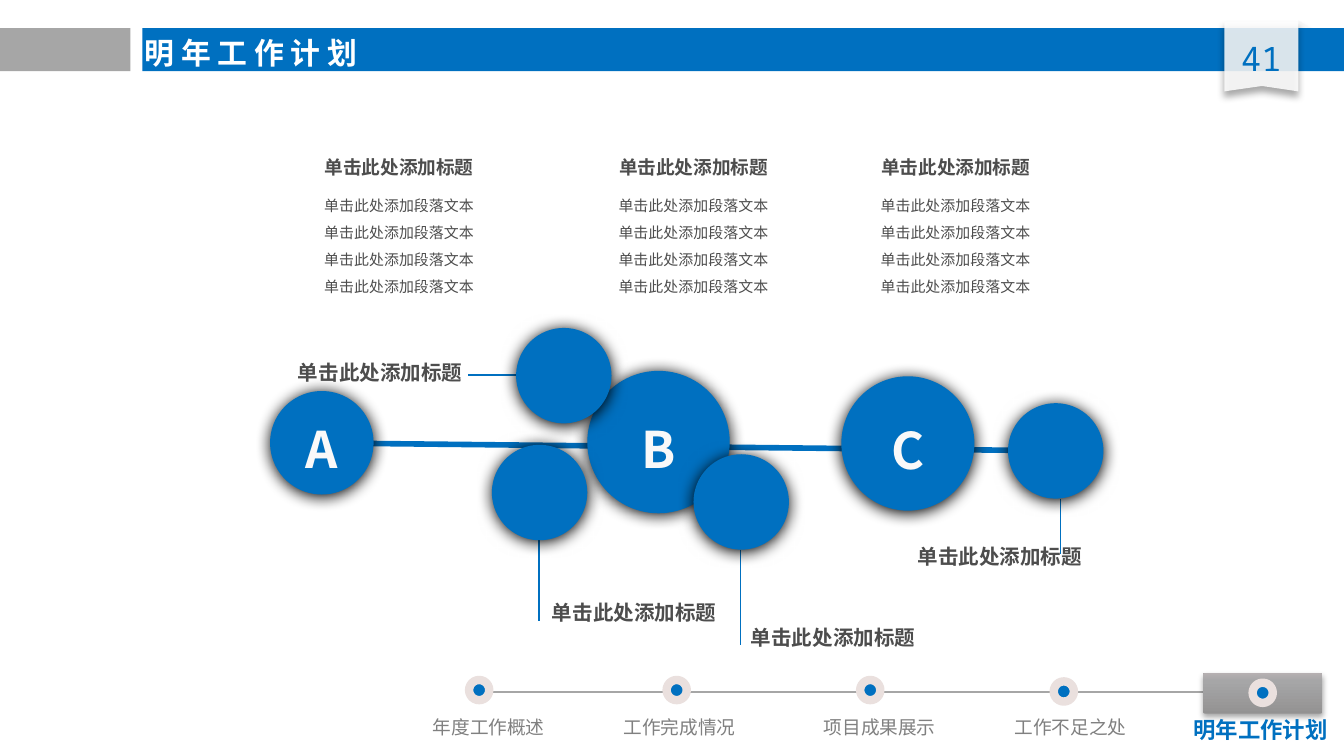
"""Build the work plan slide: header, three text columns, a chain of circles and a progress bar."""
from dataclasses import dataclass
from typing import Optional

from lxml import etree
from pptx import Presentation
from pptx import util as u
from pptx.dml import color
from pptx.enum import shapes, text
from pptx.oxml import ns

COLUMNS = 10
ROWS = COLUMNS * 9 / 16
CELL = u.Inches(1)
COLORS = {
    "blue": "0070C0", "grey": "A6A6A6", "label": "808080", "body": "4D4D4D",
    "white": "FFFFFF", "letter": "F9F9F9", "fold": "F8F8F8", "ring": "EAE0DE",
    "shadow": "000000", "dark": "939292", "middle": "A6A6A7", "light": "B6B0B2",
}
CJK = "Noto Sans CJK SC"
HEADING = "单击此处添加标题"
PARAGRAPH = "单击此处添加段落文本" * 4


@dataclass(frozen=True)
class Box:
    left: float
    top: float
    width: float
    height: float

    def lengths(self) -> list[int]:
        return [cells(value) for value in (self.left, self.top, self.width, self.height)]


@dataclass(frozen=True)
class Style:
    size: float
    color: str
    bold: bool = False
    font: str = CJK
    align: Optional[text.PP_ALIGN] = text.PP_ALIGN.CENTER
    spacing: Optional[float] = None
    inset: float = 0.1
    wrap: bool = True


@dataclass(frozen=True)
class Shadow:
    alpha: int
    blur: float
    distance: float


@dataclass(frozen=True)
class Line:
    start: tuple[float, float]
    end: tuple[float, float]
    color: str = "blue"
    width: float = 0.75


@dataclass(frozen=True)
class Circle:
    box: Box
    letter: str = ""


@dataclass(frozen=True)
class Step:
    name: str
    dot_left: float
    dot_top: float
    label: Box
    current: bool = False


TITLE = Style(16, "white", True, "Calibri", None)
NUMBER = Style(18, "blue", font="Noto Sans Mono", inset=0.07)
COLUMN_HEADING = Style(10, "body", True, spacing=1.2)
COLUMN_BODY = Style(8, "body", spacing=1.5)
CALLOUT = Style(11, "body", True, spacing=1.2, inset=0.08)
LETTER = Style(27, "letter", True, spacing=1.2, inset=0.08)
STEP = Style(10, "label", inset=0.07, wrap=False)
CURRENT_STEP = Style(12, "blue", True, inset=0.07, wrap=False)

RIBBON_SHADOW = Shadow(40, 4, 3)
TAB_SHADOW = Shadow(35, 3.1, 1.8)
CIRCLE_SHADOW = Shadow(100, 8.5, 1)

RIBBON = [(9.11, 0.68), (9.11, 0.16), (9.66, 0.16), (9.66, 0.68), (9.39, 0.64)]
COLUMN_LEFTS = [2.26, 4.45, 6.4]
CALLOUTS = [(4.01, 4.39), (2.12, 2.6), (5.49, 4.57), (6.73, 3.97)]
LINES = [
    Line((3.84, 2.79), (3.48, 2.79)),
    Line((7.89, 3.71), (7.89, 4.12)),
    Line((4.01, 4.02), (4.01, 4.62)),
    Line((5.51, 4.09), (5.51, 4.8)),
    Line((2.77, 3.3), (7.5, 3.35), width=3),
]
CIRCLES = [
    Circle(Box(2.01, 2.91, 0.77, 0.77), "A"),
    Circle(Box(4.37, 2.76, 1.06, 1.06), "B"),
    Circle(Box(6.26, 2.8, 0.99, 1), "C"),
    *[Circle(Box(left, top, 0.71, 0.71))
      for left, top in [(7.5, 3), (3.84, 2.44), (3.66, 3.31), (5.16, 3.38)]],
]
STEPS = [
    Step("年度工作概述", 3.49, 5.06, Box(3.14, 5.29, 0.99, 0.24)),
    Step("工作完成情况", 4.96, 5.06, Box(4.56, 5.29, 0.99, 0.24)),
    Step("项目成果展示", 6.4, 5.06, Box(6.05, 5.29, 0.99, 0.24)),
    Step("工作不足之处", 7.84, 5.07, Box(7.47, 5.29, 0.99, 0.24)),
    Step("明年工作计划", 9.32, 5.08, Box(8.8, 5.29, 1.16, 0.28), True),
]


def cells(count: float) -> int:
    return round(count * CELL)


def rgb(name: str) -> color.RGBColor:
    return color.RGBColor.from_string(COLORS[name])


def add_node(parent, tag: str, **attributes):
    return etree.SubElement(parent, ns.qn(tag), {key: str(value) for key, value in attributes.items()})


def set_shadow(shape, shadow: Shadow) -> None:
    effects = shape.element.spPr.find(ns.qn("a:effectLst"))
    outer = add_node(effects, "a:outerShdw", blurRad=u.Pt(shadow.blur), dist=u.Pt(shadow.distance),
                     dir=90 * 60000, algn="t", rotWithShape=0)
    tint = add_node(outer, "a:srgbClr", val=COLORS["shadow"])
    add_node(tint, "a:alpha", val=shadow.alpha * 1000)


def paint(shape, fill: str, shadow: Optional[Shadow] = None, alpha: int = 100) -> None:
    shape.fill.solid()
    shape.fill.fore_color.rgb = rgb(fill)
    shape.line.fill.background()
    shape.shadow.inherit = False
    if alpha < 100:
        tint = shape.element.spPr.find(ns.qn("a:solidFill"))[0]
        add_node(tint, "a:alpha", val=alpha * 1000)
    if shadow:
        set_shadow(shape, shadow)


def add_shape(slide, kind: shapes.MSO_SHAPE, box: Box, fill: str,
              shadow: Optional[Shadow] = None, alpha: int = 100):
    shape = slide.shapes.add_shape(kind, *box.lengths())
    paint(shape, fill, shadow, alpha)
    return shape


def write(shape, words: str, style: Style) -> None:
    frame = shape.text_frame
    frame.word_wrap = style.wrap
    frame.margin_left = frame.margin_right = cells(style.inset)
    frame.margin_top = frame.margin_bottom = cells(style.inset / 2)
    paragraph = frame.paragraphs[0]
    paragraph.text = words
    paragraph.alignment = style.align
    paragraph.line_spacing = style.spacing
    font = paragraph.font
    font.name, font.size, font.bold = style.font, u.Pt(style.size), style.bold
    font.color.rgb = rgb(style.color)
    add_node(paragraph._p.pPr.find(ns.qn("a:defRPr")), "a:ea", typeface=CJK)


def add_text(container, box: Box, words: str, style: Style) -> None:
    write(container.shapes.add_textbox(*box.lengths()), words, style)


def add_line(slide, line: Line) -> None:
    ends = [cells(value) for value in (*line.start, *line.end)]
    connector = slide.shapes.add_connector(shapes.MSO_CONNECTOR.STRAIGHT, *ends)
    connector.line.color.rgb = rgb(line.color)
    connector.line.width = u.Pt(line.width)
    add_node(connector.element.spPr, "a:effectLst")


def add_header(slide) -> None:
    add_shape(slide, shapes.MSO_SHAPE.RIGHT_TRIANGLE, Box(9.66, 0.15, 0.09, 0.06), "fold", RIBBON_SHADOW, 85)
    add_shape(slide, shapes.MSO_SHAPE.RECTANGLE, Box(0, 0.21, 0.97, 0.32), "grey")
    add_shape(slide, shapes.MSO_SHAPE.RECTANGLE, Box(1.06, 0.21, COLUMNS - 1.06, 0.32), "blue")
    corners = [(cells(column), cells(row)) for column, row in RIBBON]
    builder = slide.shapes.build_freeform(*corners[0])
    builder.add_line_segments(corners[1:], close=True)
    paint(builder.convert_to_shape(), "white", RIBBON_SHADOW, 85)
    add_text(slide, Box(9.11, 0.25, 0.55, 0.38), "41", NUMBER)
    add_text(slide, Box(0.98, 0.21, 2.28, 0.37), "明 年 工 作 计 划", TITLE)


def add_tab(slide) -> None:
    tab = add_shape(slide, shapes.MSO_SHAPE.ROUNDED_RECTANGLE, Box(8.95, 5.01, 0.89, 0.3), "grey", TAB_SHADOW)
    tab.adjustments[0] = 0.05
    tab.fill.gradient()
    tab.fill.gradient_angle = 90
    stops = tab.element.spPr.find(ns.qn("a:gradFill")).find(ns.qn("a:gsLst"))
    stops.clear()
    for position, name in [(0, "dark"), (80, "middle"), (100, "light")]:
        add_node(add_node(stops, "a:gs", pos=position * 1000), "a:srgbClr", val=COLORS[name])


def add_step(slide, step: Step) -> None:
    if step.current:
        add_tab(slide)
    dot = add_shape(slide, shapes.MSO_SHAPE.OVAL, Box(step.dot_left, step.dot_top, 0.15, 0.15), "blue")
    dot.line.color.rgb = rgb("ring")
    dot.line.width = u.Pt(4.5)
    add_text(slide, step.label, step.name, CURRENT_STEP if step.current else STEP)


def main() -> None:
    presentation = Presentation()
    presentation.slide_width, presentation.slide_height = cells(COLUMNS), cells(ROWS)
    slide = presentation.slides.add_slide(presentation.slide_layouts[6])
    add_header(slide)
    add_line(slide, Line((3.61, 5.15), (9.34, 5.15), "grey", 1))
    for step in STEPS:
        add_step(slide, step)
    for line in LINES:
        add_line(slide, line)
    for circle in CIRCLES:
        shape = add_shape(slide, shapes.MSO_SHAPE.OVAL, circle.box, "blue", CIRCLE_SHADOW)
        if circle.letter:
            write(shape, circle.letter, LETTER)
    for left in COLUMN_LEFTS:
        group = slide.shapes.add_group_shape()
        add_text(group, Box(left, 1.08, 1.42, 0.3), HEADING, COLUMN_HEADING)
        add_text(group, Box(left, 1.35, 1.42, 0.91), PARAGRAPH, COLUMN_BODY)
    for left, top in CALLOUTS:
        add_text(slide, Box(left, top, 1.42, 0.3), HEADING, CALLOUT)
    presentation.save("out.pptx")


if __name__ == "__main__":
    main()
